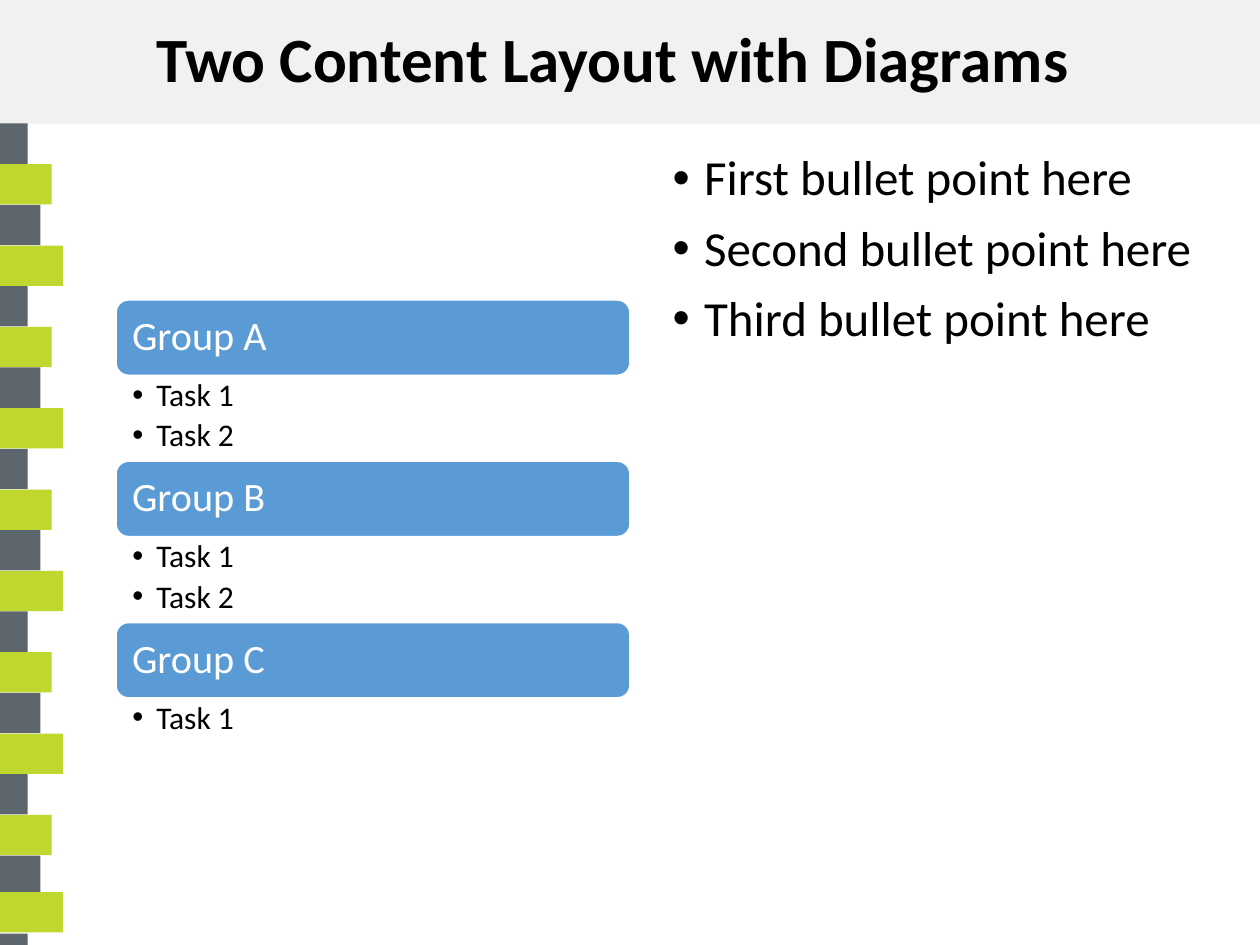
import pptx
import pptx.dml.color
import pptx.enum.shapes
import pptx.enum.text
import pptx.oxml.ns
import pptx.util
from lxml import etree

Inches, Pt = pptx.util.Inches, pptx.util.Pt
RGBColor = pptx.dml.color.RGBColor
SHAPES = pptx.enum.shapes.MSO_SHAPE
ANCHOR = pptx.enum.text.MSO_ANCHOR

BLACK = RGBColor(0x00, 0x00, 0x00)
WHITE = RGBColor(0xFF, 0xFF, 0xFF)
BAND = RGBColor(0xF0, 0xF1, 0xF1)
BAND_EDGE = RGBColor(0xF0, 0xF1, 0xF2)
SLATE = RGBColor(0x5C, 0x66, 0x6C)
LIME = RGBColor(0xBF, 0xD7, 0x2F)
BLUE = RGBColor(0x5B, 0x9B, 0xD5)
FONT = "Calibri"

TITLE = "Two Content Layout with Diagrams"
POINTS = ["First bullet point here", "Second bullet point here", "Third bullet point here"]
GROUPS = [
    ("Group A", ["Task 1", "Task 2"]),
    ("Group B", ["Task 1", "Task 2"]),
    ("Group C", ["Task 1"]),
]

SLIDE_W, SLIDE_H = 10, 7.5
BAND_H = 0.98
STRIPES = [(0.22, SLATE), (0.41, LIME), (0.32, SLATE), (0.5, LIME)]
STRIPE_COUNT, STRIPE_H, LAST_STRIPE_TOP = 19, 0.32, 6.79
STRIPE_PITCH = (LAST_STRIPE_TOP - BAND_H) / (STRIPE_COUNT - 1)
BOTTOM_STRIPES = [(7.08, 0.5, 0.32, LIME), (7.41, 0.22, 0.09, SLATE)]
GROUP_LEFT, GROUP_TOP, GROUP_W = 0.92, 2.38, 4.08
HEADER_H, HEADER_INSET = 0.6, 0.03
TASK_H = {1: 0.42, 2: 0.68}


def add_box(slide, kind, left, top, width, height, fill, edge=None):
    """Add a filled shape, with a 1 pt edge if a colour is given."""
    box = slide.shapes.add_shape(kind, Inches(left), Inches(top), Inches(width), Inches(height))
    box.shadow.inherit = False
    box.fill.solid()
    box.fill.fore_color.rgb = fill
    if edge is None:
        box.line.fill.background()
    else:
        box.line.color.rgb = edge
        box.line.width = Pt(1)


def add_bullet(paragraph, indent):
    """Give a paragraph a round bullet with a hanging indent."""
    properties = paragraph._p.get_or_add_pPr()
    properties.set("marL", str(Inches(indent)))
    properties.set("indent", str(-Inches(indent)))
    for tag, attribute, value in (("a:buFont", "typeface", "Arial"), ("a:buChar", "char", "•")):
        etree.SubElement(properties, pptx.oxml.ns.qn(tag)).set(attribute, value)


def add_text(slide, lines, left, top, width, height, size, color=BLACK, bold=False,
             anchor=ANCHOR.TOP, insets=(0.1, 0.05, 0.1, 0.05), before=0, after=0, indent=None):
    """Add a text box with one paragraph per line, bulleted if an indent is given."""
    frame = slide.shapes.add_textbox(
        Inches(left), Inches(top), Inches(width), Inches(height)).text_frame
    frame.word_wrap = True
    frame.vertical_anchor = anchor
    frame.margin_left, frame.margin_top, frame.margin_right, frame.margin_bottom = map(Inches, insets)
    for number, line in enumerate(lines):
        paragraph = frame.add_paragraph() if number else frame.paragraphs[0]
        paragraph.line_spacing = 0.9
        paragraph.space_before = Pt(before)
        paragraph.space_after = Pt(after)
        if indent is not None:
            add_bullet(paragraph, indent)
        run = paragraph.add_run()
        run.text = line
        run.font.name = FONT
        run.font.size = Pt(size)
        run.font.bold = bold
        run.font.color.rgb = color


def add_frame(slide):
    """Draw the title band and the striped left edge."""
    add_box(slide, SHAPES.RECTANGLE, 0, 0, SLIDE_W, BAND_H, BAND, BAND_EDGE)
    for number in range(STRIPE_COUNT):
        width, color = STRIPES[number % len(STRIPES)]
        top = BAND_H + number * STRIPE_PITCH
        add_box(slide, SHAPES.RECTANGLE, 0, top, width, STRIPE_H, color)
    for top, width, height, color in BOTTOM_STRIPES:
        add_box(slide, SHAPES.RECTANGLE, 0, top, width, height, color)


def add_groups(slide):
    """Stack each group header above its task list."""
    top = GROUP_TOP
    for group, tasks in GROUPS:
        add_box(slide, SHAPES.ROUNDED_RECTANGLE, GROUP_LEFT, top, GROUP_W, HEADER_H, BLUE, WHITE)
        add_text(slide, [group], GROUP_LEFT + HEADER_INSET, top + HEADER_INSET,
                 GROUP_W - 2 * HEADER_INSET, HEADER_H - 2 * HEADER_INSET, 23, WHITE,
                 anchor=ANCHOR.MIDDLE, insets=(0.1, 0.1, 0.1, 0.1))
        top += HEADER_H
        height = TASK_H[len(tasks)]
        add_text(slide, tasks, GROUP_LEFT, top, GROUP_W, height, 18,
                 insets=(0.13, 0.03, 0.18, 0.03), after=3.6, indent=0.19)
        top += height


deck = pptx.Presentation()
deck.slide_width, deck.slide_height = Inches(SLIDE_W), Inches(SLIDE_H)
slide = deck.slides.add_slide(deck.slide_layouts[6])
slide.background.fill.solid()
slide.background.fill.fore_color.rgb = WHITE
add_frame(slide)
add_text(slide, [TITLE], 1.14, 0.01, 8.66, 0.97, 36, bold=True, anchor=ANCHOR.MIDDLE)
add_groups(slide)
add_text(slide, POINTS, 5.24, 1.17, 4.49, 5.66, 28, before=10, indent=0.25)
deck.save("out.pptx")
